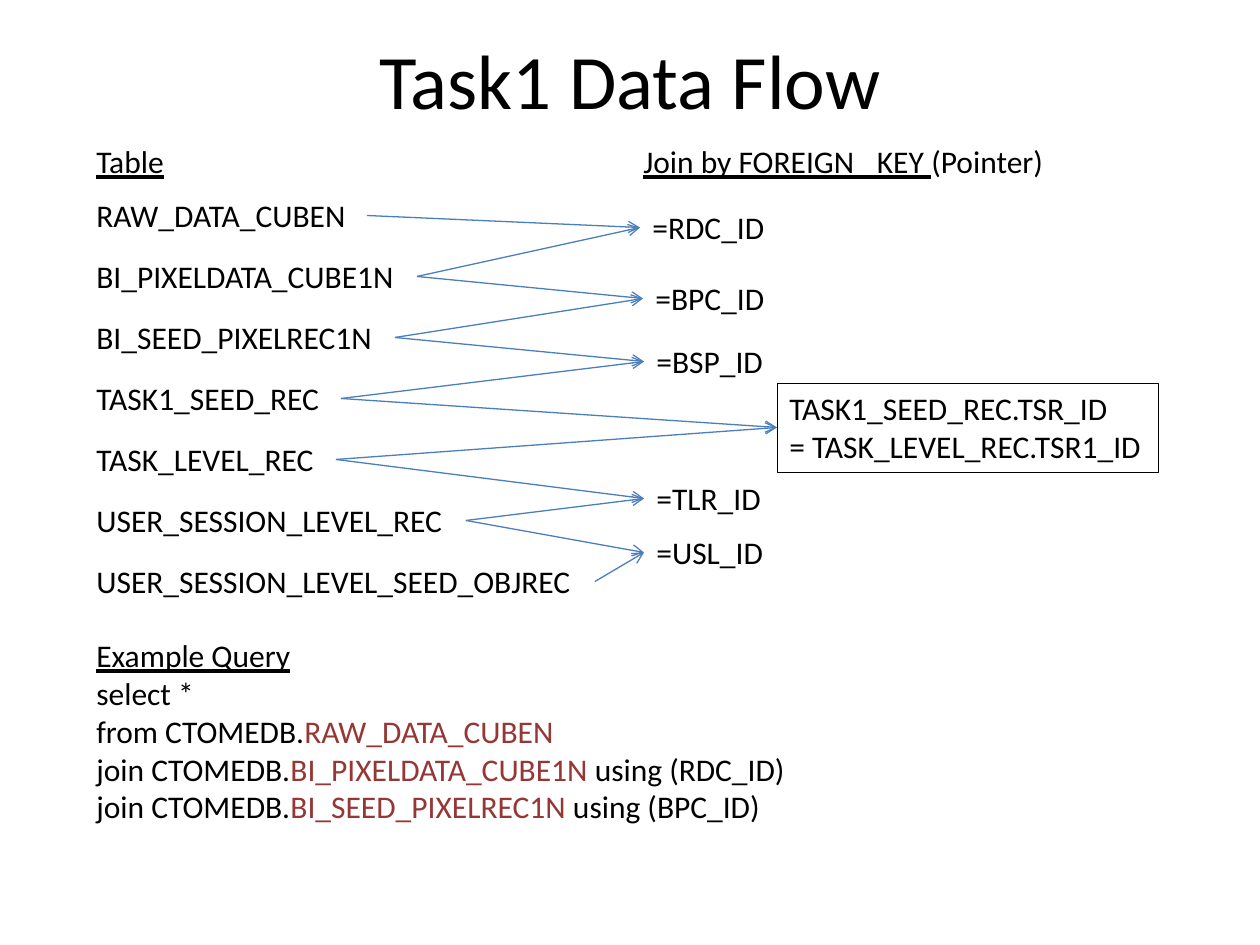
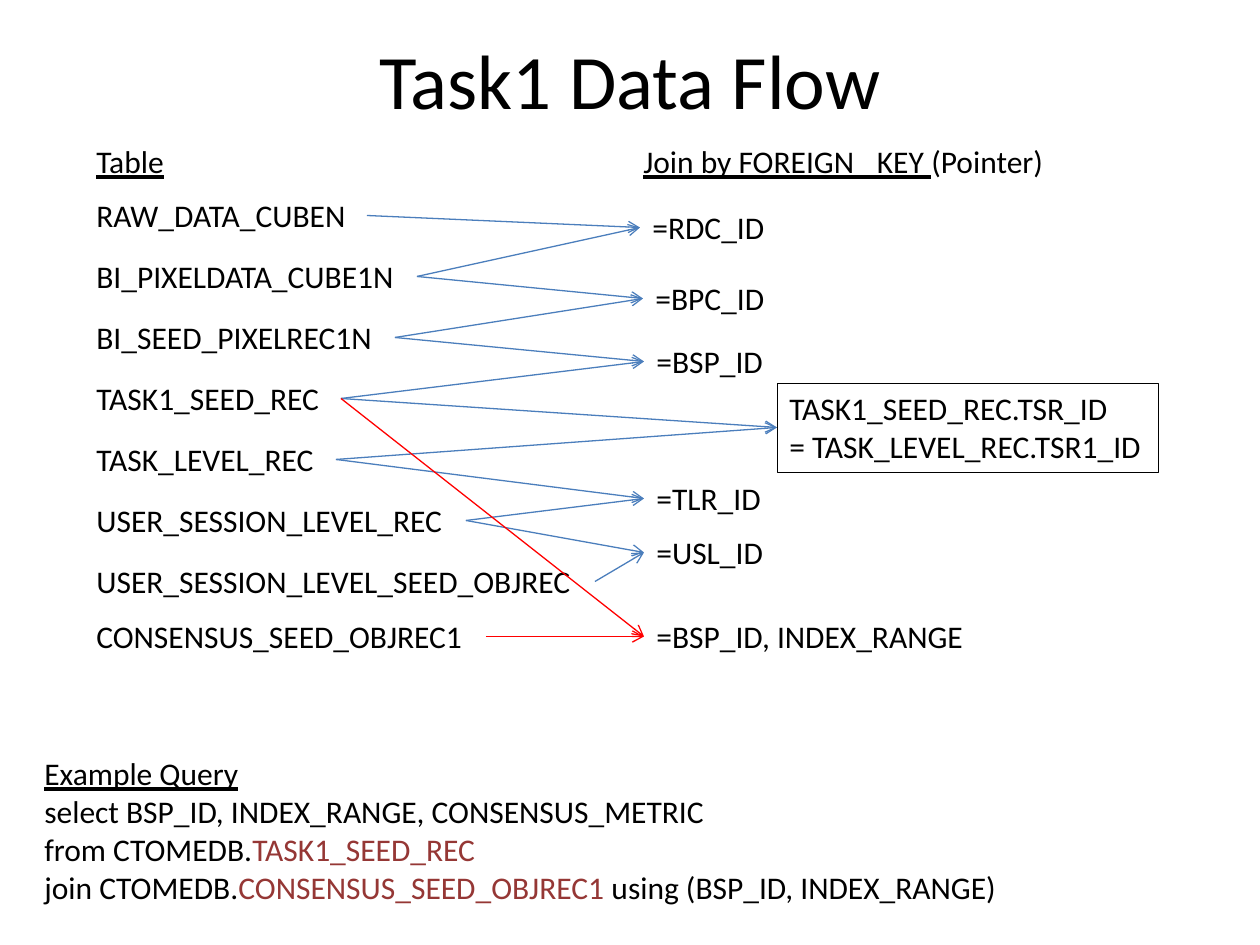
from dataclasses import dataclass
from typing import NamedTuple

from lxml.etree import SubElement
from pptx import Presentation
from pptx.dml.color import RGBColor
from pptx.enum.shapes import MSO_CONNECTOR, MSO_SHAPE
from pptx.enum.text import MSO_ANCHOR, MSO_AUTO_SIZE, PP_ALIGN
from pptx.oxml.ns import qn
from pptx.util import Emu, Pt

PX_PER_INCH = 126
FONT = "Calibri"
COLOURS = {
    "text": "000000",
    "table": "953735",
    "join": "4B7EBC",
    "consensus": "FF0000",
}
LEFT_SIDE, RIGHT_SIDE = 1, 3
TITLE_ONLY = 5
ROW_HEIGHT = 51
TABLE_LEFT, TABLE_TOP, TABLE_STEP = 84, 190, 61


class Span(NamedTuple):
    text: str
    colour: str = "text"
    underline: bool = False


@dataclass(frozen=True)
class Label:
    lines: list[list[Span]]
    left: int
    top: int
    width: int
    height: int = ROW_HEIGHT
    outlined: bool = False


class Join(NamedTuple):
    table: str
    key: str
    colour: str = "join"


def key_label(text: str, left: int, top: int, width: int) -> Label:
    return Label([[Span(text)]], left, top, width)


def query_lines(select: str, source: str, joins: list[tuple[str, str]]) -> list[list[Span]]:
    """Return the heading and lines of an example query, with table names coloured."""
    return [
        [Span("Example Query", underline=True)],
        [Span(f"select {select}")],
        [Span("from CTOMEDB."), Span(source, "table")],
        *([Span("join CTOMEDB."), Span(table, "table"), Span(f" using ({columns})")]
          for table, columns in joins),
    ]


TABLE_WIDTHS = {
    "RAW_DATA_CUBEN": 283,
    "BI_PIXELDATA_CUBE1N": 333,
    "BI_SEED_PIXELREC1N": 311,
    "TASK1_SEED_REC": 257,
    "TASK_LEVEL_REC": 252,
    "USER_SESSION_LEVEL_REC": 382,
    "USER_SESSION_LEVEL_SEED_OBJREC": 511,
}
HEADINGS = [
    Label([[Span("Table", underline=True)]], TABLE_LEFT, 136, 93),
    Label([[Span("Join by FOREIGN _KEY ", underline=True), Span("(Pointer)")]], 631, 136, 430),
]
FLOW_LABELS = {
    name: Label([[Span(name)]], TABLE_LEFT, TABLE_TOP + row * TABLE_STEP, width)
    for row, (name, width) in enumerate(TABLE_WIDTHS.items())
} | {
    "RDC": key_label("=RDC_ID", 640, 202, 139),
    "BPC": key_label("=BPC_ID", 643, 273, 135),
    "BSP": key_label("=BSP_ID", 644, 336, 134),
    "TSR": Label([[Span("TASK1_SEED_REC.TSR_ID")], [Span("= TASK_LEVEL_REC.TSR1_ID")]],
                 777, 383, 381, 89, outlined=True),
    "TLR": key_label("=TLR_ID", 644, 473, 131),
    "USL": key_label("=USL_ID", 644, 527, 134),
}
KEYS = ["RDC", "BPC", "BSP", "TSR", "TLR", "USL"]
# Each key links two neighbouring tables.
TABLES = list(TABLE_WIDTHS)
FLOW_JOINS = [
    Join(table, key)
    for key, pair in zip(KEYS, zip(TABLES, TABLES[1:]))
    for table in pair
]

CONSENSUS_TABLE = "CONSENSUS_SEED_OBJREC1"
CONSENSUS_LABELS = {
    CONSENSUS_TABLE: Label([[Span(CONSENSUS_TABLE)]], TABLE_LEFT, 611, 402),
    "RANGE": key_label("=BSP_ID, INDEX_RANGE", 644, 611, 335),
}
CONSENSUS_JOINS = [
    Join("TASK1_SEED_REC", "RANGE", "consensus"),
    Join(CONSENSUS_TABLE, "RANGE", "consensus"),
]

PIXEL_QUERY = Label(
    query_lines("*", "RAW_DATA_CUBEN",
                [("BI_PIXELDATA_CUBE1N", "RDC_ID"), ("BI_SEED_PIXELREC1N", "BPC_ID")]),
    TABLE_LEFT, 630, 728, 204)
CONSENSUS_QUERY = Label(
    query_lines("BSP_ID, INDEX_RANGE, CONSENSUS_METRIC", "TASK1_SEED_REC",
                [(CONSENSUS_TABLE, "BSP_ID, INDEX_RANGE")]),
    32, 748, 985, 165)


def px(length: int) -> Emu:
    return Emu(round(length * 914400 / PX_PER_INCH))


def colour(name: str) -> RGBColor:
    return RGBColor.from_string(COLOURS[name])


def write(para, text: str, *, size: int = 18, tint: str = "text",
          underline: bool = False, align: PP_ALIGN = PP_ALIGN.LEFT) -> None:
    para.alignment = align
    span = para.add_run()
    span.text = text
    span.font.name = FONT
    span.font.size = Pt(size)
    span.font.underline = underline
    span.font.color.rgb = colour(tint)


def draw_title(page) -> None:
    title = page.shapes.title
    title.left, title.top, title.width, title.height = px(63), px(0), px(1134), px(158)
    title.text_frame.vertical_anchor = MSO_ANCHOR.MIDDLE
    write(title.text_frame.paragraphs[0], "Task1 Data Flow", size=44, align=PP_ALIGN.CENTER)


def draw_label(page, label: Label):
    place = [px(length) for length in (label.left, label.top, label.width, label.height)]
    if label.outlined:
        box = page.shapes.add_shape(MSO_SHAPE.RECTANGLE, *place)
        box.shadow.inherit = False
        box.fill.background()
        box.line.color.rgb = colour("text")
        box.line.width = Pt(0.25)
    else:
        box = page.shapes.add_textbox(*place)
    frame = box.text_frame
    frame.word_wrap = False
    frame.auto_size = MSO_AUTO_SIZE.SHAPE_TO_FIT_TEXT
    frame.vertical_anchor = MSO_ANCHOR.TOP
    for index, line in enumerate(label.lines):
        para = frame.add_paragraph() if index else frame.paragraphs[0]
        for span in line:
            write(para, span.text, tint=span.colour, underline=span.underline)
    return box


def draw_join(page, table_box, key_box, tint: str) -> None:
    arrow = page.shapes.add_connector(MSO_CONNECTOR.STRAIGHT, 0, 0, 0, 0)
    arrow.begin_connect(table_box, RIGHT_SIDE)
    arrow.end_connect(key_box, LEFT_SIDE)
    arrow.line.color.rgb = colour(tint)
    arrow.line.width = Pt(0.75)
    SubElement(arrow.line._get_or_add_ln(), qn("a:tailEnd"), type="arrow")
    SubElement(arrow._element.spPr, qn("a:effectLst"))


def draw_page(deck, labels: dict[str, Label], joins: list[Join], query: Label) -> None:
    page = deck.slides.add_slide(deck.slide_layouts[TITLE_ONLY])
    draw_title(page)
    for label in [*HEADINGS, query]:
        draw_label(page, label)
    boxes = {name: draw_label(page, label) for name, label in labels.items()}
    for join in joins:
        draw_join(page, boxes[join.table], boxes[join.key], join.colour)


def main() -> None:
    deck = Presentation()
    deck.slide_width, deck.slide_height = px(1260), px(945)
    draw_page(deck, FLOW_LABELS, FLOW_JOINS, PIXEL_QUERY)
    draw_page(deck, FLOW_LABELS | CONSENSUS_LABELS, FLOW_JOINS + CONSENSUS_JOINS, CONSENSUS_QUERY)
    deck.save("out.pptx")


if __name__ == "__main__":
    main()
